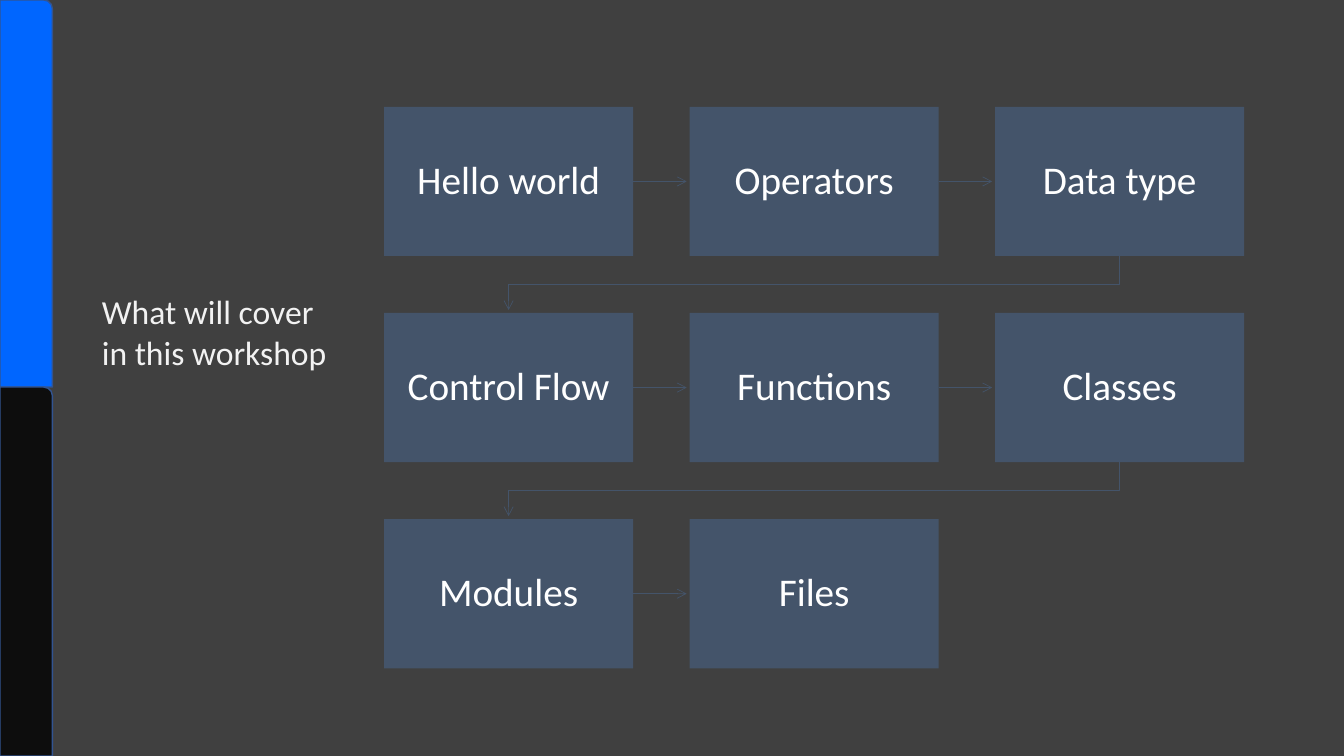
from dataclasses import dataclass

import lxml.etree
import pptx
import pptx.dml.color
import pptx.enum.shapes
import pptx.enum.text
import pptx.oxml.ns
import pptx.util

Inches = pptx.util.Inches
Pt = pptx.util.Pt
RGBColor = pptx.dml.color.RGBColor
Shapes = pptx.enum.shapes.MSO_SHAPE
qn = pptx.oxml.ns.qn

BACKGROUND = RGBColor(0x40, 0x40, 0x40)
BLUE = RGBColor(0x00, 0x66, 0xFF)
BLACK = RGBColor(0x0D, 0x0D, 0x0D)
BAND_EDGE = RGBColor(0x32, 0x54, 0x91)
SLATE = RGBColor(0x44, 0x54, 0x6A)
TITLE_TEXT = RGBColor(0xF2, 0xF2, 0xF2)
WHITE = RGBColor(0xFF, 0xFF, 0xFF)
FONT = "Calibri"

# Topic grid, in inches
COLUMNS = 3
GRID_LEFT, GRID_TOP = 3.81, 1.06
BOX_WIDTH, BOX_HEIGHT = 2.47, 1.48
COLUMN_STEP, ROW_STEP = 3.03, 2.045
ARROW_GAP = 0.03
TOPICS = ["Hello world", "Operators", "Data type", "Control Flow",
          "Functions", "Classes", "Modules", "Files"]


@dataclass
class Band:
    top: float
    height: float
    color: RGBColor


@dataclass
class Topic:
    label: str
    row: int
    column: int

    @property
    def left(self) -> float:
        return GRID_LEFT + self.column * COLUMN_STEP

    @property
    def top(self) -> float:
        return GRID_TOP + self.row * ROW_STEP

    @property
    def center(self) -> float:
        return self.left + BOX_WIDTH / 2

    @property
    def middle(self) -> float:
        return self.top + BOX_HEIGHT / 2


BANDS = [Band(0, 3.84, BLUE), Band(3.84, 3.66, BLACK)]


def add_run(paragraph, text: str, size: float, color: RGBColor) -> None:
    run = paragraph.add_run()
    run.text = text
    run.font.name = FONT
    run.font.size = Pt(size)
    run.font.color.rgb = color


def draw_band(slide, band: Band) -> None:
    side = slide.shapes.add_shape(Shapes.ROUND_1_RECTANGLE, 0, Inches(band.top),
                                  Inches(0.52), Inches(band.height))
    side.shadow.inherit = False
    side.fill.solid()
    side.fill.fore_color.rgb = band.color
    side.line.color.rgb = BAND_EDGE
    side.line.width = Pt(1)


def draw_title(slide, text: str) -> None:
    title = slide.shapes.title
    title.left, title.top = Inches(0.91), Inches(2.84)
    title.width, title.height = Inches(2.62), Inches(0.91)
    frame = title.text_frame
    frame.word_wrap = True
    frame.auto_size = pptx.enum.text.MSO_AUTO_SIZE.NONE
    frame.vertical_anchor = pptx.enum.text.MSO_ANCHOR.TOP
    frame.paragraphs[0].alignment = pptx.enum.text.PP_ALIGN.LEFT
    add_run(frame.paragraphs[0], text, 24, TITLE_TEXT)


def draw_topic(slide, topic: Topic):
    box = slide.shapes.add_shape(Shapes.RECTANGLE, Inches(topic.left), Inches(topic.top),
                                 Inches(BOX_WIDTH), Inches(BOX_HEIGHT))
    box.shadow.inherit = False
    box.fill.solid()
    box.fill.fore_color.rgb = SLATE
    box.line.fill.background()
    frame = box.text_frame
    frame.word_wrap = True
    frame.vertical_anchor = pptx.enum.text.MSO_ANCHOR.MIDDLE
    frame.margin_left = frame.margin_right = Inches(0.22)
    frame.margin_top = frame.margin_bottom = Inches(0.22)
    paragraph = frame.paragraphs[0]
    paragraph.alignment = pptx.enum.text.PP_ALIGN.CENTER
    paragraph.line_spacing = 0.9
    add_run(paragraph, topic.label, 28, WHITE)
    return box


def style_arrow(arrow) -> None:
    arrow.line.color.rgb = SLATE
    arrow.line.width = Pt(0.5)
    properties = arrow.element.spPr
    lxml.etree.SubElement(properties.find(qn("a:ln")), qn("a:tailEnd"), type="arrow")
    if properties.find(qn("a:effectLst")) is None:
        lxml.etree.SubElement(properties, qn("a:effectLst"))


def draw_step_across(slide, start: Topic, end: Topic, start_box) -> None:
    arrow = slide.shapes.add_connector(
        pptx.enum.shapes.MSO_CONNECTOR.STRAIGHT,
        Inches(start.left + BOX_WIDTH), Inches(start.middle),
        Inches(end.left - ARROW_GAP), Inches(start.middle))
    arrow.begin_connect(start_box, 3)
    style_arrow(arrow)


def draw_step_down(slide, start: Topic, end: Topic) -> None:
    bottom = start.top + BOX_HEIGHT
    turn = (bottom + end.top) / 2
    corners = [(start.center, turn), (end.center, turn), (end.center, end.top - ARROW_GAP)]
    builder = slide.shapes.build_freeform(Inches(start.center), Inches(bottom))
    builder.add_line_segments([(Inches(x), Inches(y)) for x, y in corners], close=False)
    arrow = builder.convert_to_shape()
    arrow.shadow.inherit = False
    arrow.fill.background()
    style_arrow(arrow)


def main() -> None:
    deck = pptx.Presentation()
    deck.slide_width, deck.slide_height = Inches(13.33), Inches(7.5)
    slide = deck.slides.add_slide(deck.slide_layouts.get_by_name("Title Only"))
    slide.background.fill.solid()
    slide.background.fill.fore_color.rgb = BACKGROUND

    # Side bands and title
    for band in BANDS:
        draw_band(slide, band)
    draw_title(slide, "What will cover in this workshop")

    # Topic boxes, then the arrows from each to the next
    topics = [Topic(label, *divmod(i, COLUMNS)) for i, label in enumerate(TOPICS)]
    boxes = [draw_topic(slide, topic) for topic in topics]
    for start, end, box in zip(topics, topics[1:], boxes):
        if start.row == end.row:
            draw_step_across(slide, start, end, box)
        else:
            draw_step_down(slide, start, end)

    deck.save("out.pptx")


if __name__ == "__main__":
    main()
